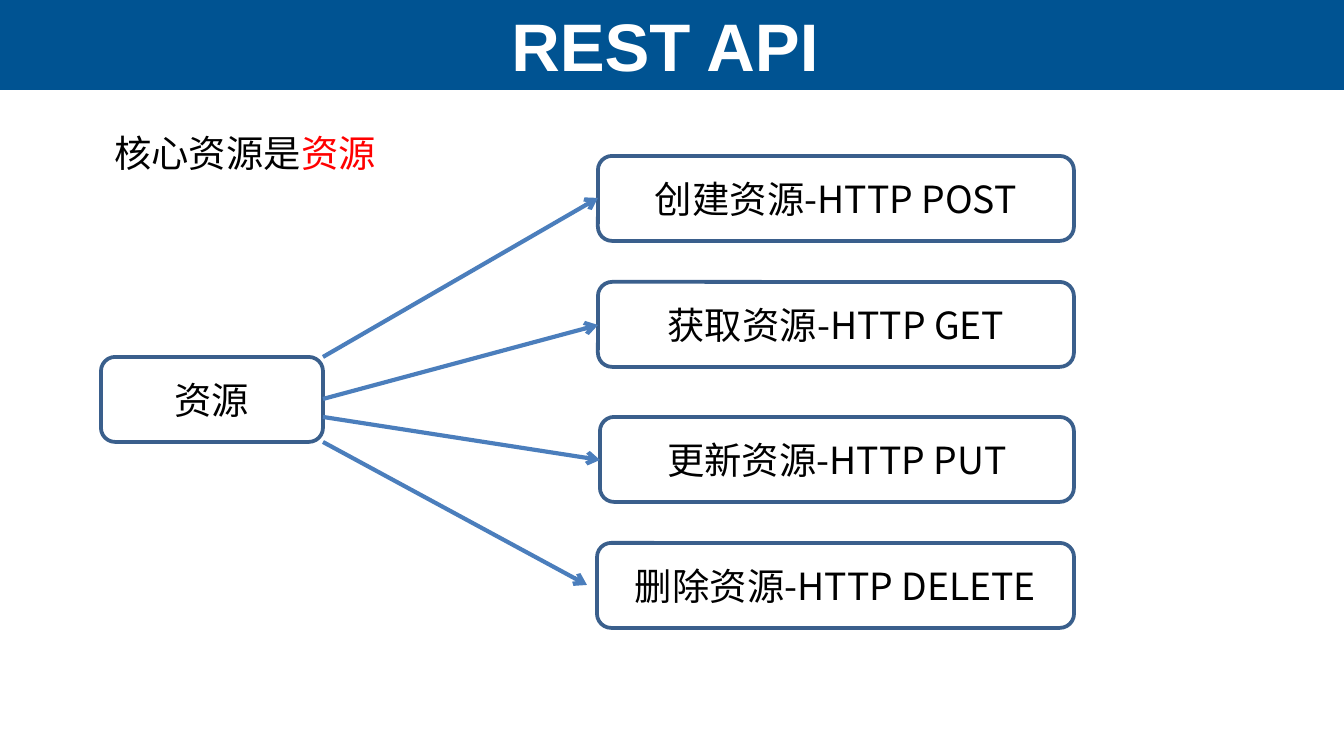
from dataclasses import dataclass

from lxml.etree import SubElement
from pptx import Presentation
from pptx.dml.color import RGBColor
from pptx.enum.shapes import MSO_CONNECTOR, MSO_SHAPE
from pptx.enum.text import MSO_ANCHOR, MSO_AUTO_SIZE, PP_ALIGN
from pptx.oxml.ns import qn
from pptx.util import Emu, Pt

EMU_PER_PX = 914400 / 134.4
SLIDE_WIDTH, SLIDE_HEIGHT = 1344, 756
BAND_HEIGHT = 90
BOX_HEIGHT = 85
CJK = "Noto Sans CJK SC"
BODY = {"name": CJK, "size": Pt(20)}
HEADING = {"name": "Arial", "size": Pt(36), "bold": True}


@dataclass(frozen=True)
class Box:
    """A rounded box with its label."""
    label: str
    left: int
    top: int
    width: int


@dataclass(frozen=True)
class Operation:
    """An operation box and the arrow that leads to it."""
    box: Box
    start_y: int
    end: tuple[int, int]


RESOURCE = Box("资源", 101, 357, 222)
OPERATIONS = (
    Operation(Box("创建资源-HTTP POST", 598, 156, 476), 357, (598, 198)),
    Operation(Box("获取资源-HTTP GET", 598, 282, 476), 399, (598, 325)),
    Operation(Box("更新资源-HTTP PUT", 600, 417, 474), 417, (600, 460)),
    Operation(Box("删除资源-HTTP DELETE", 597, 543, 477), 442, (587, 585)),
)


def px(*lengths: int) -> list[Emu]:
    """Turn pixels into EMU."""
    return [Emu(round(length * EMU_PER_PX)) for length in lengths]


def colour(hex_code: str) -> RGBColor:
    """Read a hex string as a colour."""
    return RGBColor.from_string(hex_code)


def add_text(paragraph, text: str, style: dict, hex_code: str) -> None:
    """Append a formatted run to a paragraph."""
    run = paragraph.add_run()
    run.text = text
    for attribute, setting in style.items():
        setattr(run.font, attribute, setting)
    run.font.color.rgb = colour(hex_code)
    SubElement(run.font._element, qn("a:ea"), typeface=style["name"])


def draw_title(slide, text: str) -> None:
    """Draw the band and the title on top of it."""
    band = slide.shapes.add_shape(MSO_SHAPE.RECTANGLE, *px(0, 0, SLIDE_WIDTH, BAND_HEIGHT))
    band.shadow.inherit = False
    band.fill.solid()
    band.fill.fore_color.rgb = colour("005392")
    band.line.fill.background()
    title = slide.shapes.title
    title._element.addprevious(band._element)
    title.left, title.top, title.width, title.height = px(2, 0, 1326, BAND_HEIGHT)
    title.text_frame.vertical_anchor = MSO_ANCHOR.MIDDLE
    heading = title.text_frame.paragraphs[0]
    heading.alignment = PP_ALIGN.CENTER
    add_text(heading, text, HEADING, "FFFFFF")


def draw_box(slide, box: Box) -> None:
    """Draw an outlined box with a centred label."""
    outline = slide.shapes.add_shape(
        MSO_SHAPE.ROUNDED_RECTANGLE, *px(box.left, box.top, box.width, BOX_HEIGHT))
    outline.shadow.inherit = False
    outline.fill.background()
    outline.line.color.rgb = colour("3A5F8C")
    outline.line.width = Pt(2)
    outline.text_frame.vertical_anchor = MSO_ANCHOR.MIDDLE
    label = outline.text_frame.paragraphs[0]
    label.alignment = PP_ALIGN.CENTER
    add_text(label, box.label, BODY, "000000")


def draw_arrow(slide, start: tuple[int, int], end: tuple[int, int]) -> None:
    """Draw a straight line with an open arrowhead at its end."""
    arrow = slide.shapes.add_connector(MSO_CONNECTOR.STRAIGHT, *px(*start, *end))
    arrow.line.color.rgb = colour("4B7EBC")
    arrow.line.width = Pt(2.25)
    SubElement(arrow.line._get_or_add_ln(), qn("a:tailEnd"), type="arrow")
    SubElement(arrow._element.spPr, qn("a:effectLst"))


def draw_statement(slide) -> None:
    """Draw the statement with its last word highlighted."""
    frame = slide.shapes.add_textbox(*px(101, 124, 360, 59)).text_frame
    frame.word_wrap = True
    frame.auto_size = MSO_AUTO_SIZE.SHAPE_TO_FIT_TEXT
    statement = frame.paragraphs[0]
    add_text(statement, "核心资源是", BODY, "000000")
    add_text(statement, "资源", BODY, "FF0000")


def main() -> None:
    """Build and save the slide."""
    presentation = Presentation()
    presentation.slide_width, presentation.slide_height = px(SLIDE_WIDTH, SLIDE_HEIGHT)
    slide = presentation.slides.add_slide(presentation.slide_layouts.get_by_name("Title Only"))
    draw_title(slide, "REST API")
    draw_box(slide, RESOURCE)
    for operation in OPERATIONS:
        draw_box(slide, operation.box)
    for operation in OPERATIONS:
        draw_arrow(slide, (RESOURCE.left + RESOURCE.width, operation.start_y), operation.end)
    draw_statement(slide)
    presentation.save("out.pptx")


if __name__ == "__main__":
    main()
